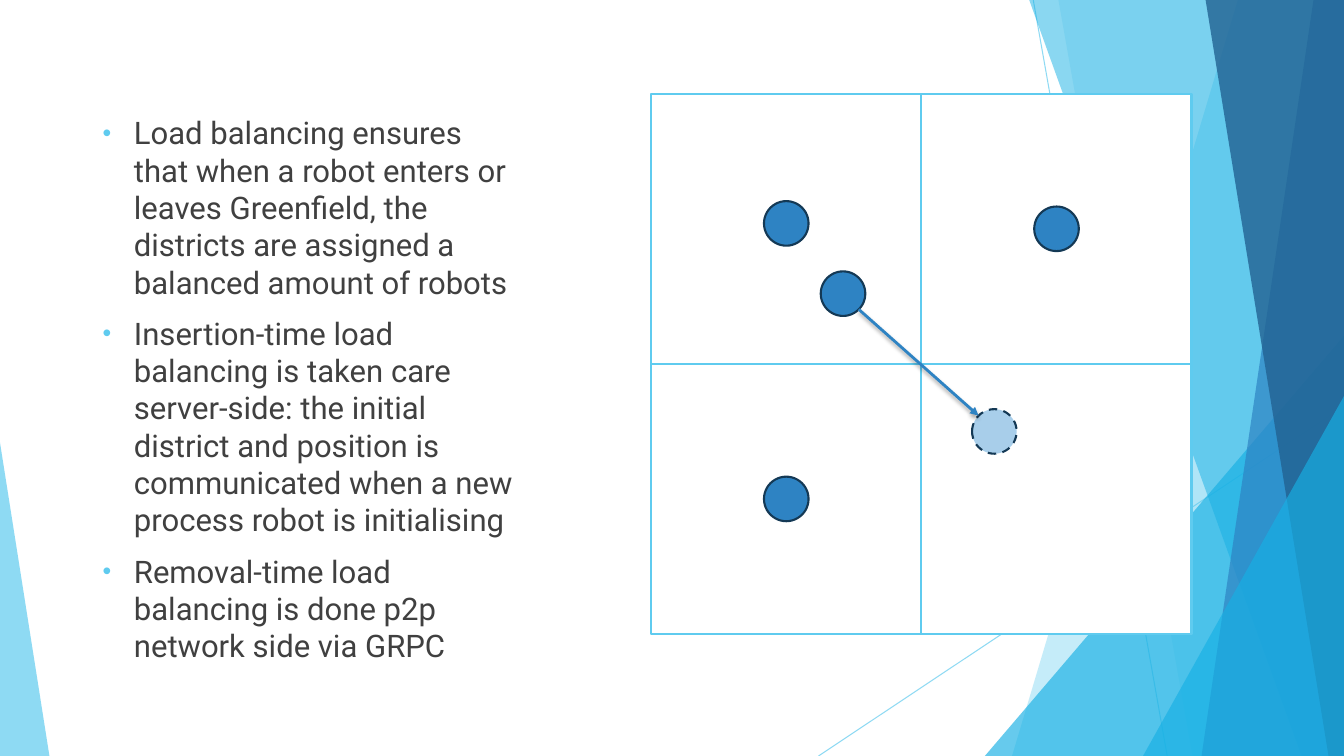
from dataclasses import dataclass
from math import sqrt

from lxml import etree
from pptx import Presentation
from pptx.dml.color import RGBColor
from pptx.enum.dml import MSO_LINE
from pptx.enum.shapes import MSO_CONNECTOR, MSO_SHAPE
from pptx.enum.text import MSO_ANCHOR
from pptx.oxml.ns import qn
from pptx.util import Inches, Pt

STRAIGHT = MSO_CONNECTOR.STRAIGHT
RECT, OVAL = MSO_SHAPE.RECTANGLE, MSO_SHAPE.OVAL
TRIANGLE = MSO_SHAPE.ISOSCELES_TRIANGLE
TOP = MSO_ANCHOR.TOP
DASH = MSO_LINE.DASH

WHITE = RGBColor(0xFF, 0xFF, 0xFF)
SKY = RGBColor(0x5F, 0xCB, 0xEF)
CYAN = RGBColor(0x17, 0xB0, 0xE4)
BLUE = RGBColor(0x2E, 0x83, 0xC3)
DEEP = RGBColor(0x22, 0x62, 0x92)
NAVY = RGBColor(0x14, 0x39, 0x55)
PALE = RGBColor(0xA8, 0xCE, 0xEA)
TEXT = RGBColor(0x40, 0x40, 0x40)

WIDTH, HEIGHT = Inches(13.33), Inches(7.5)
CELL = Inches(2.68)
GRID_LEFT, GRID_TOP = WIDTH * 48.45 / 100, HEIGHT * 12.4 / 100
ROBOT_SIZE = CELL * 0.165

BULLETS = [
    "Load balancing ensures that when a robot enters or leaves Greenfield, "
    "the districts are assigned a balanced amount of robots",
    "Insertion-time load balancing is taken care server-side: the initial "
    "district and position is communicated when a new process robot is initialising",
    "Removal-time load balancing is done p2p network side via GRPC",
]


@dataclass
class Ray:
    """A thin line; ends are percentages of the slide."""
    x1: float
    y1: float
    x2: float
    y2: float


@dataclass
class Band:
    """A full-height band to the right edge; its left edge slants."""
    top_left: float
    bottom_left: float
    top_right: float
    color: RGBColor
    opacity: int


@dataclass
class Corner:
    """A right triangle standing on the bottom edge, with its apex at 0 or 1."""
    left: float
    top: float
    width: float
    apex: int
    color: RGBColor
    opacity: int


@dataclass
class Robot:
    """A robot centred at a column and row of the district grid."""
    col: float
    row: float
    leaving: bool = False


DECOR = [
    Ray(76.88, 0, 86.85, 100),
    Ray(100, 53.73, 60.9, 100),
    Band(92.1, 75.3, 100, SKY, 36),
    Band(78.75, 88.73, 100, SKY, 20),
    Corner(73.28, 44.4, 26.72, 1, CYAN, 66),
    Band(76.58, 96.83, 100, CYAN, 50),
    Band(97.73, 89.4, 100, BLUE, 70),
    Band(89.7, 98.85, 100, DEEP, 80),
    Corner(85.05, 52.4, 14.95, 1, CYAN, 66),
    Corner(0, 58.53, 3.68, 0, SKY, 70),
]
MOVING, TARGET = Robot(0.71, 0.74), Robot(1.27, 1.25, leaving=True)
ROBOTS = [Robot(0.5, 0.48), Robot(1.5, 0.5), Robot(0.5, 1.5), MOVING, TARGET]


def x(share: float) -> int:
    return round(WIDTH * share / 100)


def y(share: float) -> int:
    return round(HEIGHT * share / 100)


def grid_point(col: float, row: float) -> tuple[int, int]:
    return round(GRID_LEFT + col * CELL), round(GRID_TOP + row * CELL)


def set_opacity(fill_parent, percent: int) -> None:
    color = next(fill_parent.iter(qn("a:srgbClr")))
    etree.SubElement(color, qn("a:alpha"), val=str(percent * 1000))


def paint(sp, fill: RGBColor, line: RGBColor | None = None, opacity: int = 100) -> None:
    sp.shadow.inherit = False
    sp.fill.solid()
    sp.fill.fore_color.rgb = fill
    if opacity < 100:
        set_opacity(sp._element.spPr, opacity)
    if line is None:
        sp.line.fill.background()
    else:
        sp.line.color.rgb = line
        sp.line.width = Pt(1.5)


def add_line(slide, start: tuple, end: tuple, color: RGBColor, width: float):
    """Draw a straight line and return it with its empty effect list."""
    line = slide.shapes.add_connector(STRAIGHT, *start, *end)
    line.line.color.rgb = color
    line.line.width = Pt(width)
    return line, etree.SubElement(line._element.spPr, qn("a:effectLst"))


def add_decor(slide, part: Ray | Band | Corner) -> None:
    if isinstance(part, Ray):
        line, _ = add_line(slide, (x(part.x1), y(part.y1)), (x(part.x2), y(part.y2)), SKY, 0.75)
        set_opacity(line._element.spPr, 70)
        return
    if isinstance(part, Band):
        outline = slide.shapes.build_freeform(x(part.top_left), 0)
        outline.add_line_segments(
            [(x(part.top_right), 0), (WIDTH, HEIGHT), (x(part.bottom_left), HEIGHT)], close=True)
        sp = outline.convert_to_shape()
    else:
        sp = slide.shapes.add_shape(
            TRIANGLE, x(part.left), y(part.top), x(part.width), y(100 - part.top))
        sp.adjustments[0] = part.apex
    paint(sp, part.color, opacity=part.opacity)


def add_text(slide, box: tuple, lines: list[str], *, font: str, size: float,
             color: RGBColor, bullet: str, bullet_color: RGBColor, gap: float) -> None:
    tf = slide.shapes.add_textbox(*box).text_frame
    tf.word_wrap = True
    tf.vertical_anchor = TOP
    for i, text in enumerate(lines):
        p = tf.paragraphs[0] if i == 0 else tf.add_paragraph()
        if i:
            p.space_before = Pt(gap)
        pPr = p._p.get_or_add_pPr()
        pPr.set("marL", str(Inches(0.31)))
        pPr.set("indent", str(-Inches(0.31)))
        bu_color = etree.SubElement(pPr, qn("a:buClr"))
        etree.SubElement(bu_color, qn("a:srgbClr"), val=str(bullet_color))
        etree.SubElement(pPr, qn("a:buSzPct"), val="80000")
        etree.SubElement(pPr, qn("a:buFont"), typeface="Arial")
        etree.SubElement(pPr, qn("a:buChar"), char=bullet)
        r = p.add_run()
        r.text = text
        r.font.name, r.font.size, r.font.color.rgb = font, Pt(size), color


def add_robot(slide, robot: Robot) -> None:
    cx, cy = grid_point(robot.col, robot.row)
    size = round(ROBOT_SIZE)
    sp = slide.shapes.add_shape(OVAL, cx - size // 2, cy - size // 2, size, size)
    paint(sp, PALE if robot.leaving else BLUE, NAVY)
    if robot.leaving:
        sp.line.dash_style = DASH


def add_move(slide, start: Robot, end: Robot) -> None:
    """Draw the arrow from the lower right of one robot to the upper left of another."""
    reach = ROBOT_SIZE / 2 / sqrt(2) / CELL
    line, effects = add_line(slide, grid_point(start.col + reach, start.row + reach),
                             grid_point(end.col - reach, end.row - reach), BLUE, 2)
    etree.SubElement(line.line._get_or_add_ln(), qn("a:tailEnd"), type="triangle")
    shadow = etree.SubElement(effects, qn("a:outerShdw"), blurRad=str(Pt(3)),
                              dist=str(Pt(2)), dir="5400000", rotWithShape="0")
    etree.SubElement(shadow, qn("a:srgbClr"), val="000000")
    set_opacity(shadow, 35)


def main() -> None:
    prs = Presentation()
    prs.slide_width, prs.slide_height = WIDTH, HEIGHT
    slide = prs.slides.add_slide(prs.slide_layouts[6])
    for part in DECOR:
        add_decor(slide, part)
    add_text(slide, (x(6.9), y(14.4), x(32.25), y(71.2)), BULLETS, font="Roboto", size=22.2,
             color=TEXT, bullet="•", bullet_color=SKY, gap=10)
    for row in range(2):
        for col in range(2):
            district = slide.shapes.add_shape(RECT, *grid_point(col, row), CELL, CELL)
            paint(district, WHITE, SKY)
    for robot in ROBOTS:
        add_robot(slide, robot)
    add_move(slide, MOVING, TARGET)
    prs.save("out.pptx")


if __name__ == "__main__":
    main()
